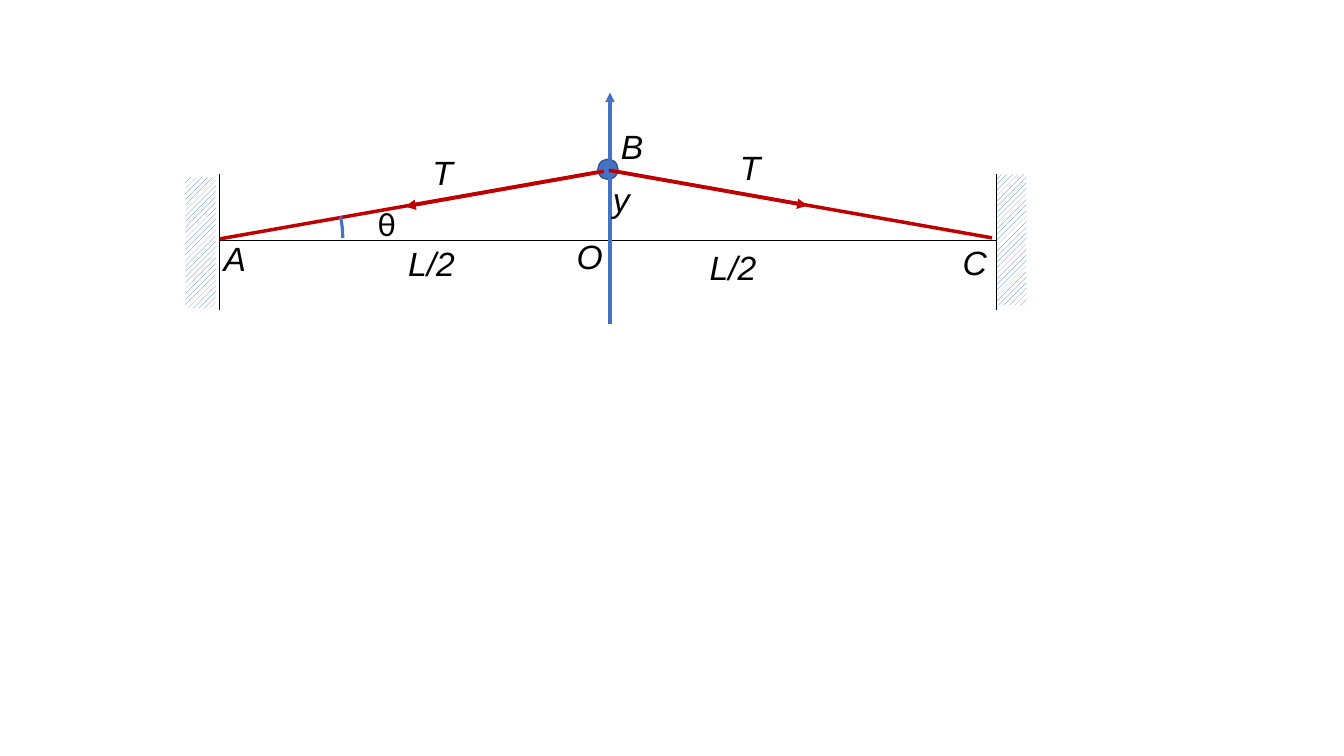
"""Draw the force diagram of a bead on a stretched string between two walls."""
from dataclasses import dataclass

import pptx
import pptx.dml.color
import pptx.enum.dml
import pptx.enum.shapes
import pptx.enum.text
import pptx.oxml.ns
import pptx.shapes.autoshape
import pptx.shapes.connector
import pptx.shapes.shapetree
import pptx.slide
import pptx.util
from lxml import etree

BLUE = pptx.dml.color.RGBColor(0x44, 0x72, 0xC4)
DARK_BLUE = pptx.dml.color.RGBColor(0x32, 0x54, 0x91)
RED = pptx.dml.color.RGBColor(0xC0, 0x00, 0x00)
BLACK = pptx.dml.color.RGBColor(0x00, 0x00, 0x00)
WHITE = pptx.dml.color.RGBColor(0xFF, 0xFF, 0xFF)

Inches = pptx.util.Inches
Shape = pptx.shapes.autoshape.Shape
Connector = pptx.shapes.connector.Connector
Shapes = pptx.shapes.shapetree.SlideShapes
Preset = pptx.enum.shapes.MSO_SHAPE

LEFT_WALL, RIGHT_WALL = 2.18, 9.88
WALL_TOP, WALL_BOTTOM = 1.73, 3.08
REST_LEVEL = 2.38
AXIS = 6.05


@dataclass(frozen=True)
class Segment:
    start: tuple[float, float]
    end: tuple[float, float]
    color: pptx.dml.color.RGBColor
    weight: float
    arrow: bool = False


@dataclass(frozen=True)
class Label:
    text: str
    left: float
    top: float
    width: float
    font: str = "Arial"
    italic: bool = True


WALL_FACES = [
    Segment((x, WALL_TOP), (x, WALL_BOTTOM), BLACK, 0.5) for x in (LEFT_WALL, RIGHT_WALL)
]
REST_STRING = Segment((LEFT_WALL, REST_LEVEL), (RIGHT_WALL, REST_LEVEL), BLACK, 0.5)
PULLED_STRING = [
    Segment((LEFT_WALL, 2.37), (5.97, 1.7), RED, 2.5),
    Segment((9.84, 2.36), (AXIS, 1.69), RED, 2.5),
]
DISPLACEMENT_AXIS = Segment((AXIS, 3.21), (AXIS, 0.92), BLUE, 2.25, arrow=True)
TENSIONS = [
    Segment((6.04, 1.69), (8.01, 2.04), RED, 2.5, arrow=True),
    Segment((5.99, 1.7), (4.02, 2.05), RED, 2.5, arrow=True),
]
LABELS = [
    Label("θ", 3.65, 1.96, 0.38, font="Calibri", italic=False),
    Label("y", 5.98, 1.73, 0.37),
    Label("L/2", 6.94, 2.4, 0.67),
    Label("L/2", 3.95, 2.36, 0.67),
    Label("O", 5.62, 2.29, 0.46),
    Label("T", 4.19, 1.46, 0.41),
    Label("T", 7.24, 1.41, 0.41),
    Label("A", 2.12, 2.31, 0.43),
    Label("C", 9.45, 2.35, 0.45),
    Label("B", 6.06, 1.2, 0.43),
]


def draw_segment(shapes: Shapes, segment: Segment) -> Connector:
    connector = shapes.add_connector(
        pptx.enum.shapes.MSO_CONNECTOR.STRAIGHT,
        *(Inches(value) for value in segment.start + segment.end),
    )
    connector.line.color.rgb = segment.color
    connector.line.width = pptx.util.Pt(segment.weight)
    if segment.arrow:
        outline = connector.line._get_or_add_ln()
        etree.SubElement(outline, pptx.oxml.ns.qn("a:tailEnd"), type="triangle")
    etree.SubElement(connector._element.spPr, pptx.oxml.ns.qn("a:effectLst"))
    return connector


def draw_shape(
    shapes: Shapes, preset: Preset, left: float, top: float, width: float, height: float
) -> Shape:
    shape = shapes.add_shape(preset, *map(Inches, (left, top, width, height)))
    shape.shadow.inherit = False
    return shape


def draw_wall(shapes: Shapes, left: float, top: float) -> Shape:
    wall = draw_shape(shapes, Preset.RECTANGLE, left, top, 0.3, 1.3)
    wall.fill.patterned()
    wall.fill.pattern = pptx.enum.dml.MSO_PATTERN.WIDE_UPWARD_DIAGONAL
    wall.fill.fore_color.rgb = BLUE
    wall.fill.back_color.rgb = WHITE
    wall.line.fill.background()
    return wall


def draw_bead(shapes: Shapes) -> None:
    bead = draw_shape(shapes, Preset.OVAL, 5.93, 1.58, 0.2, 0.2)
    bead.fill.solid()
    bead.fill.fore_color.rgb = BLUE
    bead.line.color.rgb = DARK_BLUE
    bead.line.width = pptx.util.Pt(1)


def draw_angle(shapes: Shapes) -> None:
    angle = draw_shape(shapes, Preset.ARC, 1.4, 1.36, 2, 2)
    angle.adjustments[0] = 208.67
    angle.adjustments[1] = 0
    angle.fill.background()
    angle.line.color.rgb = BLUE
    angle.line.width = pptx.util.Pt(2.25)


def draw_label(shapes: Shapes, label: Label) -> None:
    box = shapes.add_textbox(*map(Inches, (label.left, label.top, label.width, 0.5)))
    frame = box.text_frame
    frame.word_wrap = False
    frame.auto_size = pptx.enum.text.MSO_AUTO_SIZE.SHAPE_TO_FIT_TEXT
    run = frame.paragraphs[0].add_run()
    run.text = label.text
    run.font.name = label.font
    run.font.size = pptx.util.Pt(24)
    run.font.italic = label.italic
    run.font.color.rgb = BLACK


def draw_diagram(slide: pptx.slide.Slide) -> None:
    shapes = slide.shapes
    draw_wall(shapes, 1.84, 1.76)
    right_wall = draw_wall(shapes, RIGHT_WALL, WALL_TOP)
    for face in WALL_FACES:
        draw_segment(shapes, face)
    draw_segment(shapes, REST_STRING).end_connect(right_wall, 1)
    for half in PULLED_STRING:
        draw_segment(shapes, half)
    draw_bead(shapes)
    draw_segment(shapes, DISPLACEMENT_AXIS)
    draw_angle(shapes)
    for tension in TENSIONS:
        draw_segment(shapes, tension)
    for label in LABELS:
        draw_label(shapes, label)


def main() -> None:
    presentation = pptx.Presentation()
    presentation.slide_width = Inches(13.33)
    presentation.slide_height = Inches(7.5)
    draw_diagram(presentation.slides.add_slide(presentation.slide_layouts[6]))
    presentation.save("out.pptx")


if __name__ == "__main__":
    main()
